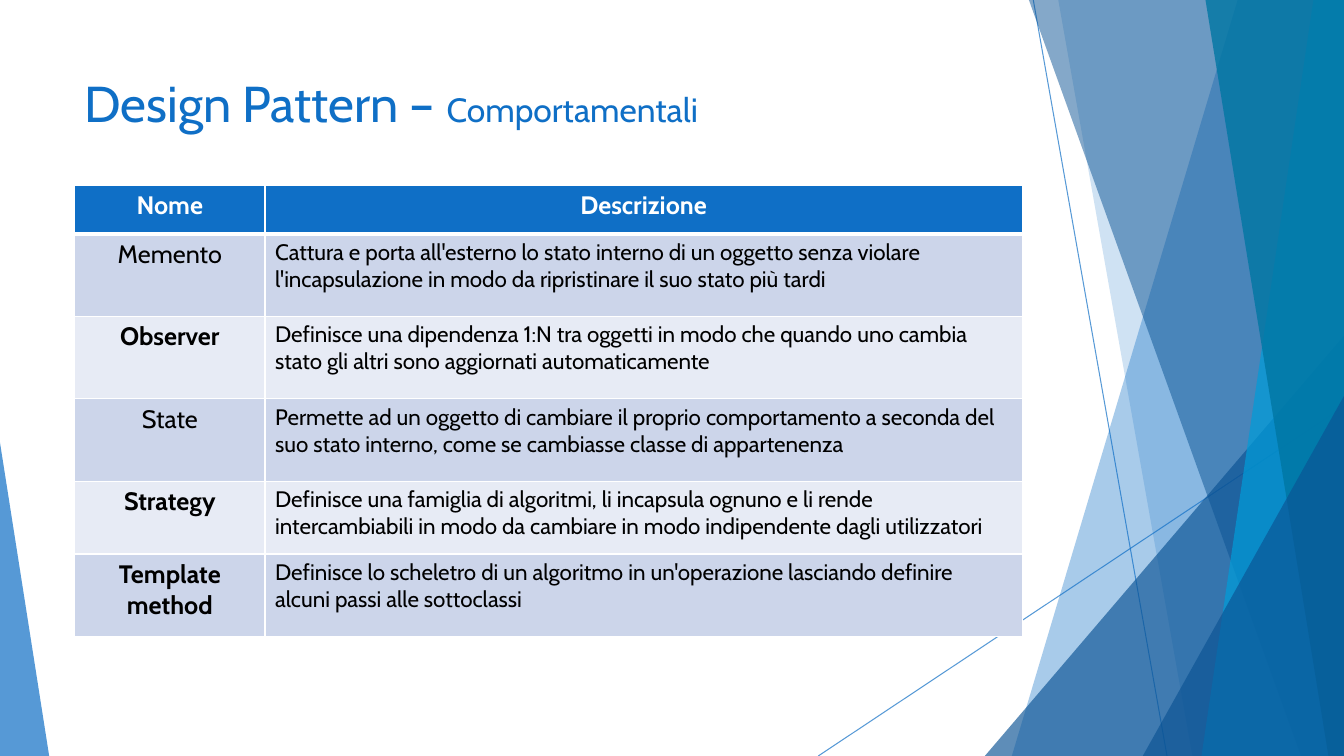
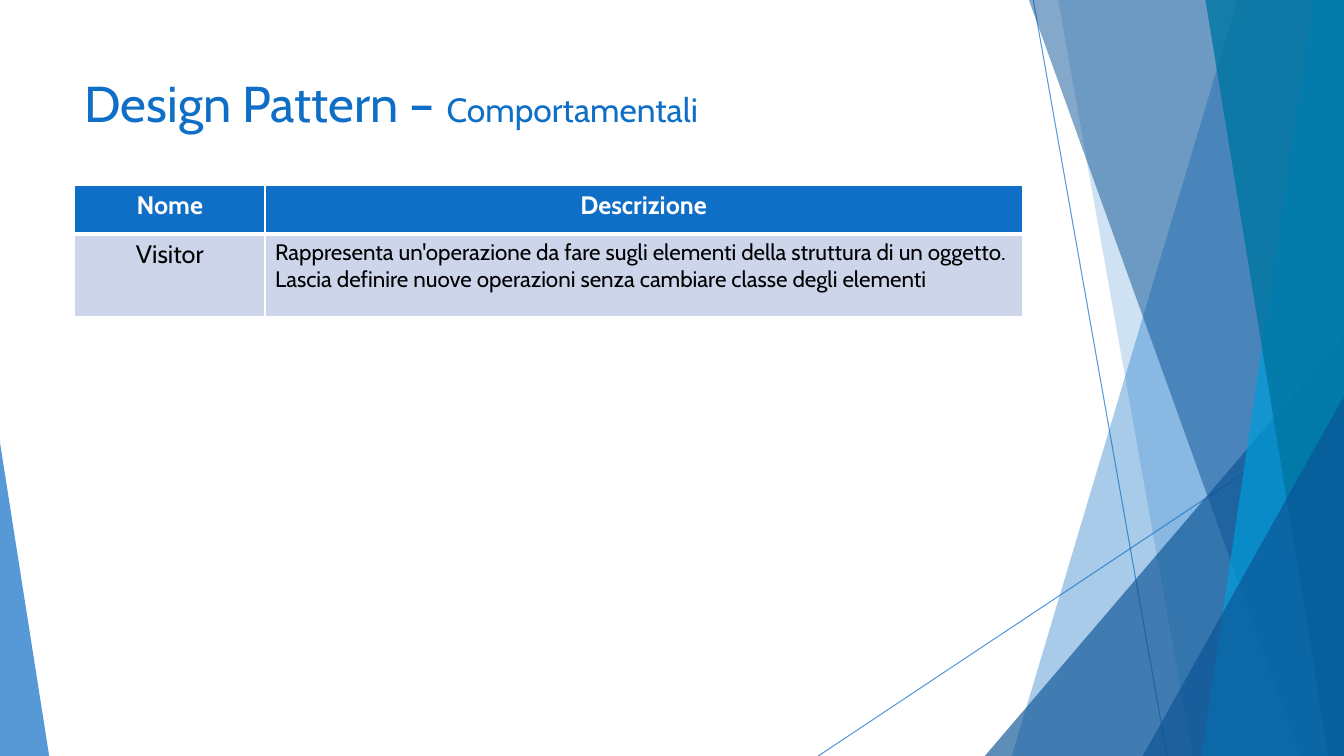
import lxml.etree
import pptx
import pptx.dml.color
import pptx.enum.shapes
import pptx.enum.text
import pptx.oxml.ns
import pptx.util

Cm = pptx.util.Cm
Pt = pptx.util.Pt
qn = pptx.oxml.ns.qn
SHAPE = pptx.enum.shapes.MSO_SHAPE
ALIGN = pptx.enum.text.PP_ALIGN

WIDTH, HEIGHT = 33.87, 19.05
LEFT = 1.88
COLS = (4.8, 19.08)
HEAD, TALL, SHORT = 1.22, 2.08, 1.83

# name, description, bold name, row height
FIRST = [
    ("Memento", "Cattura e porta all'esterno lo stato interno di un oggetto senza violare "
     "l'incapsulazione in modo da ripristinare il suo stato più tardi", False, TALL),
    ("Observer", "Definisce una dipendenza 1:N tra oggetti in modo che quando uno cambia "
     "stato gli altri sono aggiornati automaticamente", True, TALL),
    ("State", "Permette ad un oggetto di cambiare il proprio comportamento a seconda del "
     "suo stato interno, come se cambiasse classe di appartenenza", False, TALL),
    ("Strategy", "Definisce una famiglia di algoritmi, li incapsula ognuno e li rende "
     "intercambiabili in modo da cambiare in modo indipendente dagli utilizzatori", True, SHORT),
    ("Template method", "Definisce lo scheletro di un algoritmo in un'operazione lasciando "
     "definire alcuni passi alle sottoclassi", True, TALL),
]
SECOND = [
    ("Visitor", "Rappresenta un'operazione da fare sugli elementi della struttura di un "
     "oggetto. Lascia definire nuove operazioni senza cambiare classe degli elementi",
     False, TALL),
]


def color(text):
    return pptx.dml.color.RGBColor.from_string(text)


def fade(shape, part):
    """Set the opacity, in percent, of every colour in the shape."""
    for node in shape._element.spPr.iter(qn("a:srgbClr")):
        lxml.etree.SubElement(node, qn("a:alpha")).set("val", str(part * 1000))


class Deck:
    FONT = "Cabin"
    BLUE, NAVY, SKY, TEAL = "0F6FC6", "0B5394", "009DD9", "0076A3"
    WHITE, BLACK = "FFFFFF", "000000"
    BANDS = ("CCD5EA", "E7EBF5")

    def __init__(self):
        self.file = pptx.Presentation()
        self.file.slide_width = Cm(WIDTH)
        self.file.slide_height = Cm(HEIGHT)
        self.slide = None

    def page(self, title, topic, rows):
        self.slide = self.file.slides.add_slide(self.file.slide_layouts[5])
        self.decor()
        self.title(title, topic)
        self.table(rows)

    def style(self, font, size, tint, bold=False):
        font.name = self.FONT
        font.size = Pt(size)
        font.bold = bold
        font.color.rgb = color(tint)

    def paint(self, shape, tint, part):
        shape.shadow.inherit = False
        shape.fill.solid()
        shape.fill.fore_color.rgb = color(tint)
        shape.line.fill.background()
        fade(shape, part)

    def line(self, x1, y1, x2, y2):
        line = self.slide.shapes.add_connector(
            pptx.enum.shapes.MSO_CONNECTOR.STRAIGHT, Cm(x1), Cm(y1), Cm(x2), Cm(y2))
        line.line.color.rgb = color(self.BLUE)
        line.line.width = Pt(0.75)
        fade(line, 70)
        lxml.etree.SubElement(line._element.spPr, qn("a:effectLst"))

    def shard(self, top, foot, tint, part):
        """Fill from a slanted edge, given by its x at top and foot, to the right side."""
        pen = self.slide.shapes.build_freeform(Cm(top), 0)
        pen.add_line_segments([(Cm(WIDTH), 0), (Cm(WIDTH), Cm(HEIGHT)), (Cm(foot), Cm(HEIGHT))])
        self.paint(pen.convert_to_shape(), tint, part)

    def wedge(self, left, top, width, peak, tint, part):
        """Stand a triangle on the slide's lower edge."""
        shape = self.slide.shapes.add_shape(
            SHAPE.ISOSCELES_TRIANGLE, Cm(left), Cm(top), Cm(width), Cm(HEIGHT - top))
        shape.adjustments[0] = peak
        self.paint(shape, tint, part)

    def decor(self):
        self.line(26.04, 0, 29.41, HEIGHT)
        self.line(WIDTH, 10.24, 20.62, HEIGHT)
        self.shard(31.19, 25.5, self.BLUE, 36)
        self.shard(26.67, 30.05, self.BLUE, 20)
        self.wedge(24.82, 8.46, 9.05, 1, self.NAVY, 66)
        self.shard(25.93, 32.79, self.NAVY, 50)
        self.shard(33.1, 30.28, self.SKY, 70)
        self.shard(30.38, 33.48, self.TEAL, 80)
        self.wedge(28.8, 9.98, 5.07, 1, self.NAVY, 66)
        self.wedge(0, 11.15, 1.24, 0, self.BLUE, 70)

    def title(self, main, topic):
        box = self.slide.shapes.title
        box.left, box.top = Cm(LEFT), Cm(1.7)
        box.width, box.height = Cm(sum(COLS)), Cm(3.66)
        frame = box.text_frame
        frame.word_wrap = True
        frame.auto_size = pptx.enum.text.MSO_AUTO_SIZE.NONE
        frame.vertical_anchor = pptx.enum.text.MSO_ANCHOR.TOP
        para = frame.paragraphs[0]
        para.alignment = ALIGN.LEFT
        for text, size in ((main, 36), (topic, 24)):
            run = para.add_run()
            run.text = text
            self.style(run.font, size, self.BLUE)

    def border(self, cell, top, foot):
        """Draw white cell borders; top and foot are widths in points."""
        props = cell._tc.get_or_add_tcPr()
        for spot, (side, size) in enumerate((("L", 1), ("R", 1), ("T", top), ("B", foot))):
            edge = lxml.etree.Element(qn("a:ln" + side), w=str(Pt(size)))
            fill = lxml.etree.SubElement(edge, qn("a:solidFill"))
            lxml.etree.SubElement(fill, qn("a:srgbClr"), val=self.WHITE)
            props.insert(spot, edge)

    def cell(self, cell, text, size, tint, bold, fill, align):
        cell.text = text
        cell.fill.solid()
        cell.fill.fore_color.rgb = color(fill)
        para = cell.text_frame.paragraphs[0]
        para.alignment = align
        self.style(para.font, size, tint, bold)

    def table(self, rows):
        highs = [HEAD] + [row[3] for row in rows]
        grid = self.slide.shapes.add_table(
            len(highs), len(COLS), Cm(LEFT), Cm(4.67), Cm(sum(COLS)), Cm(sum(highs))).table
        grid.horz_banding = False
        for col, width in zip(grid.columns, COLS):
            col.width = Cm(width)
        for row, high in zip(grid.rows, highs):
            row.height = Cm(high)
        for col, text in enumerate(("Nome", "Descrizione")):
            self.cell(grid.cell(0, col), text, 18, self.WHITE, True, self.BLUE, ALIGN.CENTER)
        for at, (name, about, bold, _) in enumerate(rows, 1):
            band = self.BANDS[(at - 1) % 2]
            self.cell(grid.cell(at, 0), name, 18, self.BLACK, bold, band, ALIGN.CENTER)
            self.cell(grid.cell(at, 1), about, 16, self.BLACK, False, band, ALIGN.LEFT)
        for at, row in enumerate(grid.rows):
            for cell in row.cells:
                self.border(cell, 3 if at == 1 else 1, 3 if at == 0 else 1)


def main():
    deck = Deck()
    for rows in (FIRST, SECOND):
        deck.page("Design Pattern – ", "Comportamentali", rows)
    deck.file.save("out.pptx")


if __name__ == "__main__":
    main()
